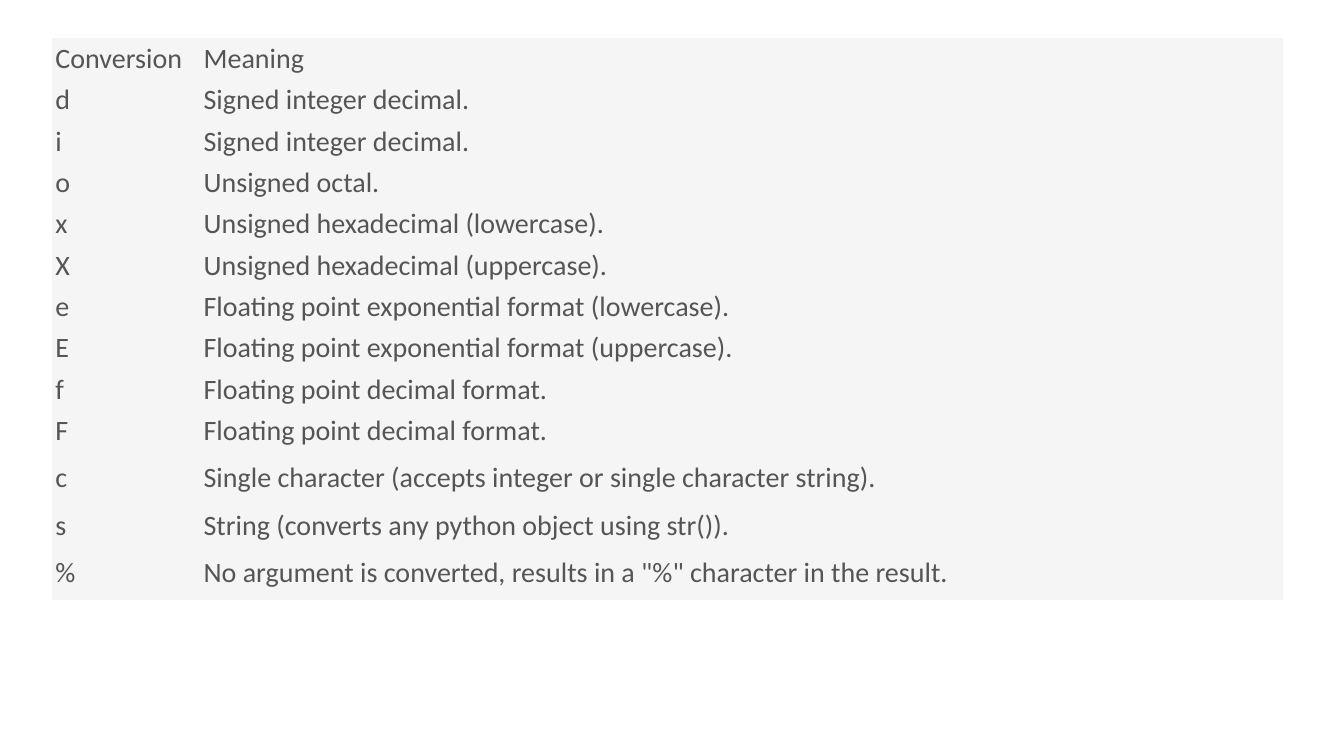
from pptx import Presentation
from pptx import util as u
from pptx.dml.color import RGBColor
from pptx.enum import text
from pptx.oxml import ns

ROWS = [
    ("Conversion", "Meaning"),
    ("d", "Signed integer decimal."),
    ("i", "Signed integer decimal."),
    ("o", "Unsigned octal."),
    ("x", "Unsigned hexadecimal (lowercase)."),
    ("X", "Unsigned hexadecimal (uppercase)."),
    ("e", "Floating point exponential format (lowercase)."),
    ("E", "Floating point exponential format (uppercase)."),
    ("f", "Floating point decimal format."),
    ("F", "Floating point decimal format."),
    ("c", "Single character (accepts integer or single character string)."),
    ("s", "String (converts any python object using str())."),
    ("%", 'No argument is converted, results in a "%" character in the result.'),
]
TALL_ROWS = ("c", "%")
ROW_H, TALL_H = 0.41, 0.53
COL_W = (1.47, 10.74)
LEFT, TOP = 0.52, 0.38
GREY = RGBColor(0x55, 0x55, 0x55)
PALE = RGBColor(0xF5, 0xF5, 0xF5)
NO_GRID = "{2D5ABB26-0587-4C30-8999-92F81FD0307C}"
INSET = u.Inches(0.03)
CELL = {
    "vertical_anchor": text.MSO_ANCHOR.MIDDLE,
    "margin_left": INSET, "margin_right": INSET,
    "margin_top": INSET, "margin_bottom": INSET,
}
FONT = {"name": "Calibri", "size": u.Pt(20), "bold": False}


def apply(obj, values):
    for name, value in values.items():
        setattr(obj, name, value)


prs = Presentation()
prs.slide_width, prs.slide_height = u.Inches(13.33), u.Inches(7.5)
s = prs.slides.add_slide(prs.slide_layouts[6])

heights = [TALL_H if code in TALL_ROWS else ROW_H for code, _ in ROWS]
box = [u.Inches(v) for v in (LEFT, TOP, sum(COL_W), sum(heights))]
table = s.shapes.add_table(len(ROWS), len(COL_W), *box).table
table.first_row = table.horz_banding = False
table._tbl.tblPr.find(ns.qn("a:tableStyleId")).text = NO_GRID

for col, width in zip(table.columns, COL_W):
    col.width = u.Inches(width)
for row, height, words in zip(table.rows, heights, ROWS):
    row.height = u.Inches(height)
    for cell, word in zip(row.cells, words):
        apply(cell, CELL)
        cell.fill.solid()
        cell.fill.fore_color.rgb = PALE
        r = cell.text_frame.paragraphs[0].add_run()
        r.text = word
        apply(r.font, FONT)
        r.font.color.rgb = GREY

prs.save("out.pptx")
